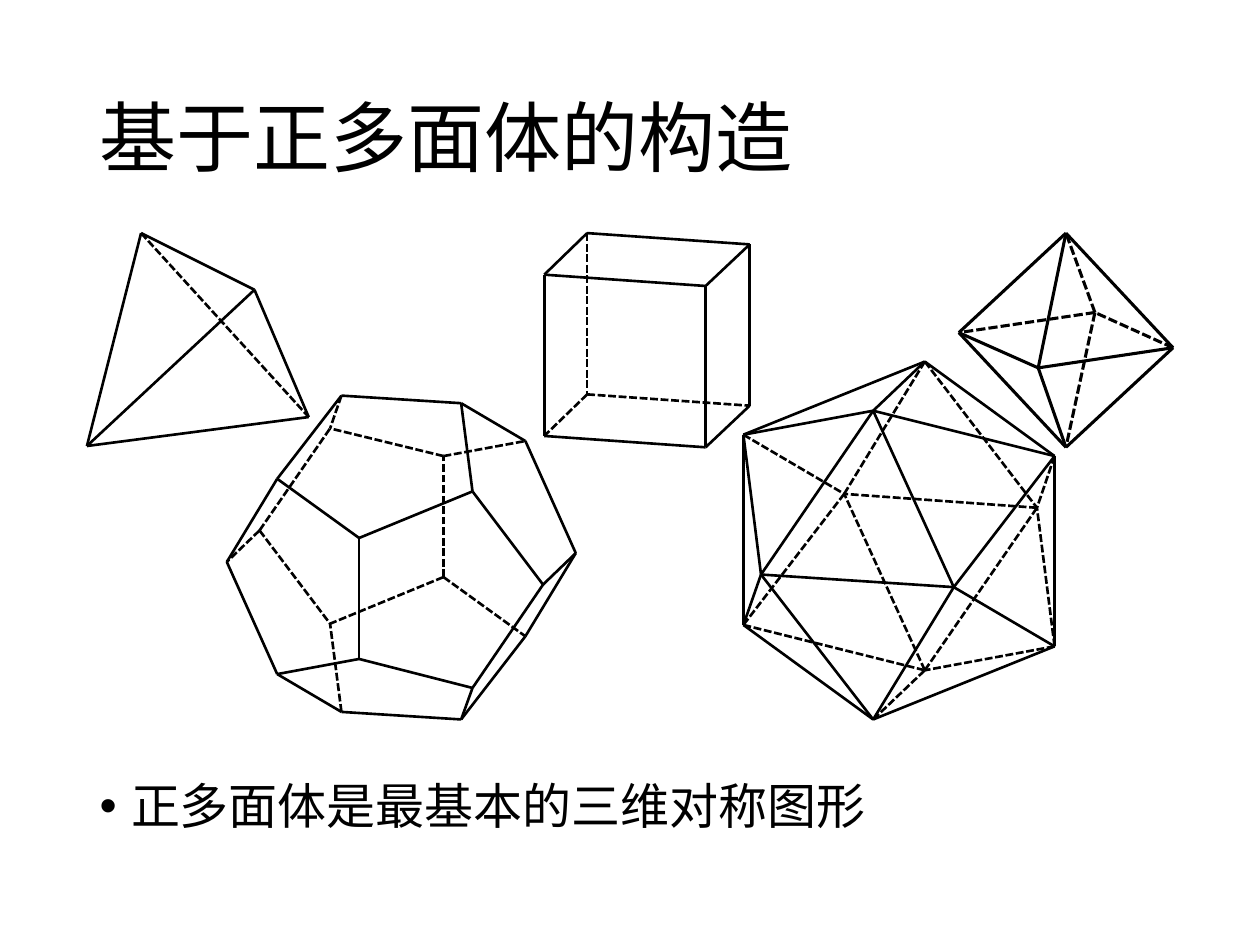
"""Build a slide that shows the five regular polyhedra as wireframes."""
from dataclasses import dataclass
from typing import Any

from lxml import etree
from pptx import Presentation
from pptx import util as u
from pptx.dml.color import RGBColor
from pptx.enum import dml, shapes, text
from pptx.oxml import ns

BLACK = RGBColor(0, 0, 0)
FONT = "Noto Sans CJK SC"


@dataclass(frozen=True)
class Polyhedron:
    """Corners in inches, and edges as pairs of corner letters."""
    corners: dict[str, tuple[float, float]]
    visible: str
    hidden: str
    weight: float = 1.5


TETRAHEDRON = Polyhedron(
    {"A": (2.02, 2.3), "B": (1.12, 1.85), "C": (2.45, 3.31), "D": (0.69, 3.54)},
    visible="AB AC AD BD CD",
    hidden="BC",
)
CUBE = Polyhedron(
    {"A": (5.95, 1.94), "B": (5.6, 2.27), "C": (4.66, 1.85), "D": (4.32, 2.18),
     "E": (4.66, 3.13), "F": (4.32, 3.46), "G": (5.95, 3.22), "H": (5.6, 3.55)},
    visible="AB AC AG BD BH CD DF FH GH",
    hidden="CE EF EG",
)
OCTAHEDRON = Polyhedron(
    {"A": (9.31, 2.76), "B": (8.69, 2.48), "C": (8.46, 1.85),
     "D": (8.24, 2.92), "E": (8.46, 3.55), "F": (7.61, 2.64)},
    visible="AC AD AE CD CF DE DF EF",
    hidden="AB BC BE BF",
    weight=1.75,
)
DODECAHEDRON = Polyhedron(
    {"A": (2.85, 4.27), "B": (2.85, 5.23), "C": (3.52, 4.58), "D": (3.52, 3.62),
     "E": (3.66, 3.2), "F": (2.71, 3.14), "G": (2.71, 5.65), "H": (3.66, 5.71),
     "I": (4.31, 4.64), "J": (4.57, 4.39), "K": (2.06, 4.21), "L": (1.8, 4.46),
     "M": (3.75, 3.9), "N": (2.2, 3.8), "O": (2.2, 5.35), "P": (3.75, 5.46),
     "Q": (4.17, 3.5), "R": (2.62, 3.4), "S": (2.62, 4.95), "T": (4.17, 5.05)},
    visible="AB AM AN BO BP EF EM EQ FN GH GO HP HT IJ IM IP JQ JT LN LO",
    hidden="CD CS CT DQ DR FR GS KL KR KS",
)
ICOSAHEDRON = Polyhedron(
    {"A": (8.37, 3.62), "B": (8.37, 5.13), "C": (5.9, 3.45), "D": (5.9, 4.96),
     "E": (6.93, 3.26), "F": (7.34, 2.87), "G": (6.93, 5.71), "H": (7.34, 5.32),
     "I": (7.57, 4.66), "J": (6.04, 4.56), "K": (8.23, 4.03), "L": (6.7, 3.92)},
    visible="AB AE AF AI BG BI CD CE CF CJ DG DJ EF EI EJ GI GJ IJ",
    hidden="AK BH BK CL DH DL FK FL GH HK HL KL",
)


def set_all(target: Any, values: dict[str, Any]) -> None:
    """Set every named attribute of the target."""
    for name, value in values.items():
        setattr(target, name, value)


def draw_edge(group: Any, solid: Polyhedron, edge: str, dashed: bool) -> None:
    """Draw one edge between two corners of the solid."""
    ends = [u.Inches(length) for corner in edge for length in solid.corners[corner]]
    line = group.shapes.add_connector(shapes.MSO_CONNECTOR.STRAIGHT, *ends)
    line.line.color.rgb = BLACK
    line.line.width = u.Pt(solid.weight)
    if dashed:
        line.line.dash_style = dml.MSO_LINE.SQUARE_DOT
    etree.SubElement(line._element.spPr, ns.qn("a:effectLst"))


def draw_polyhedron(page: Any, solid: Polyhedron) -> None:
    """Draw all edges of the solid in one group."""
    group = page.shapes.add_group_shape()
    for edges, dashed in ((solid.visible, False), (solid.hidden, True)):
        for edge in edges.split():
            draw_edge(group, solid, edge, dashed)


def add_bullet(para: Any) -> None:
    """Give the paragraph a hanging round bullet."""
    props = para._p.get_or_add_pPr()
    props.set("marL", str(u.Inches(0.25)))
    props.set("indent", str(-u.Inches(0.25)))
    etree.SubElement(props, ns.qn("a:buFont"), typeface="Arial")
    etree.SubElement(props, ns.qn("a:buChar"), char="•")


def fill_placeholder(box: Any, words: str, size: float, top: float, height: float,
                     anchor: text.MSO_ANCHOR, bullet: bool = False) -> None:
    """Place a template placeholder and write one paragraph in it."""
    set_all(box, {"left": u.Inches(0.69), "top": u.Inches(top),
                  "width": u.Inches(8.62), "height": u.Inches(height)})
    set_all(box.text_frame, {"word_wrap": True, "vertical_anchor": anchor,
                             "auto_size": text.MSO_AUTO_SIZE.NONE})
    para = box.text_frame.paragraphs[0]
    if bullet:
        add_bullet(para)
    set_all(para, {"alignment": text.PP_ALIGN.LEFT, "line_spacing": 0.9,
                   "space_before": u.Pt(0)})
    span = para.add_run()
    span.text = words
    set_all(span.font, {"name": FONT, "size": u.Pt(size)})
    span.font.color.rgb = BLACK
    etree.SubElement(span._r.get_or_add_rPr(), ns.qn("a:ea"), typeface=FONT)


def main() -> None:
    """Build and save the deck."""
    deck = Presentation()
    set_all(deck, {"slide_width": u.Inches(10), "slide_height": u.Inches(7.5)})
    page = deck.slides.add_slide(deck.slide_layouts[1])
    title, body = page.placeholders
    fill_placeholder(title, "基于正多面体的构造", 44, 0.4, 1.45, text.MSO_ANCHOR.MIDDLE)
    fill_placeholder(body, "正多面体是最基本的三维对称图形", 28, 6.16, 0.54,
                     text.MSO_ANCHOR.TOP, bullet=True)
    for solid in (TETRAHEDRON, CUBE, OCTAHEDRON, DODECAHEDRON, ICOSAHEDRON):
        draw_polyhedron(page, solid)
    deck.save("out.pptx")


if __name__ == "__main__":
    main()
